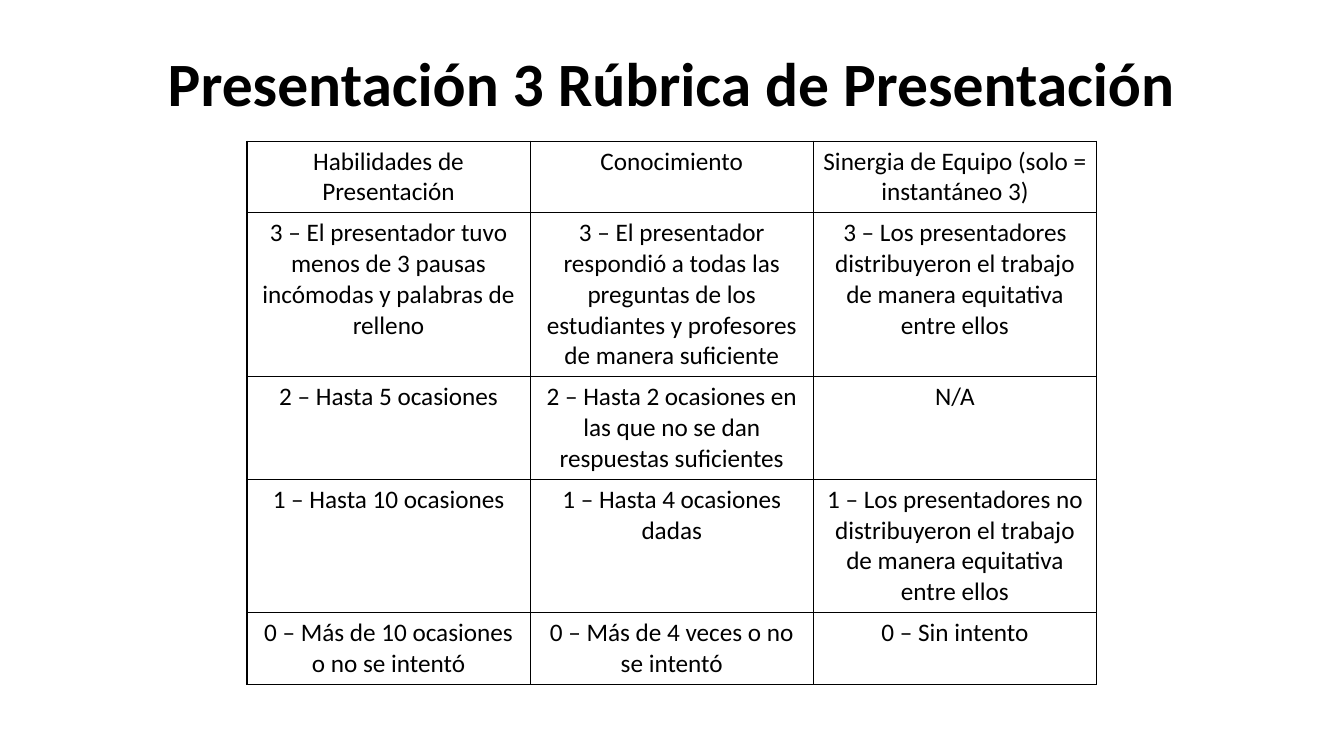
"""Build the presentation rubric slide."""
from lxml import etree
from pptx import Presentation
from pptx.dml.color import RGBColor
from pptx.enum.text import MSO_ANCHOR as Anchor, PP_ALIGN as Align
from pptx.oxml.ns import qn
from pptx.util import Pt

TITLE = "Presentación 3 Rúbrica de Presentación"
RUBRIC = [
    ("Habilidades de Presentación", "Conocimiento",
     "Sinergia de Equipo (solo = instantáneo 3)"),
    ("3 – El presentador tuvo menos de 3 pausas incómodas y palabras de relleno",
     "3 – El presentador respondió a todas las preguntas de los estudiantes y "
     "profesores de manera suficiente",
     "3 – Los presentadores distribuyeron el trabajo de manera equitativa entre ellos"),
    ("2 – Hasta 5 ocasiones",
     "2 – Hasta 2 ocasiones en las que no se dan respuestas suficientes", "N/A"),
    ("1 – Hasta 10 ocasiones", "1 – Hasta 4 ocasiones dadas",
     "1 – Los presentadores no distribuyeron el trabajo de manera equitativa entre ellos"),
    ("0 – Más de 10 ocasiones o no se intentó",
     "0 – Más de 4 veces o no se intentó", "0 – Sin intento"),
]
ROW_LINES = [2, 5, 3, 4, 2]
LINE_HEIGHT, CELL_PADDING = 22, 7.2
COLUMN_WIDTH = 202.3
FONT, INK = "Calibri", "000000"


def color(value):
    """Turn a hex string into a colour."""
    return RGBColor.from_string(value)


def format_paragraph(para, size, bold=False):
    """Centre a paragraph and format its runs."""
    para.alignment = Align.CENTER
    for span in para.runs:
        span.font.name = FONT
        span.font.size = Pt(size)
        span.font.bold = bold
        span.font.color.rgb = color(INK)


def add_borders(cell):
    """Draw a one-point line on each side of a cell."""
    properties = cell._tc.get_or_add_tcPr()
    for position, side in enumerate(("a:lnL", "a:lnR", "a:lnT", "a:lnB")):
        line = etree.Element(qn(side), w=str(Pt(1)))
        fill = etree.SubElement(line, qn("a:solidFill"))
        etree.SubElement(fill, qn("a:srgbClr"), val=INK)
        properties.insert(position, line)


def add_title(page):
    """Place and format the slide title."""
    box = page.shapes.title
    box.left, box.top, box.width, box.height = Pt(109.4), Pt(28.8), Pt(741), Pt(60.5)
    frame = box.text_frame
    frame.text = TITLE
    frame.word_wrap = False
    frame.vertical_anchor = Anchor.TOP
    format_paragraph(frame.paragraphs[0], 44, bold=True)


def add_rubric(page):
    """Add the rubric table."""
    heights = [lines * LINE_HEIGHT + CELL_PADDING for lines in ROW_LINES]
    columns = len(RUBRIC[0])
    table = page.shapes.add_table(
        len(RUBRIC), columns, Pt(176.4), Pt(100.8),
        Pt(columns * COLUMN_WIDTH), Pt(sum(heights))).table
    table.first_row = table.horz_banding = False
    for column in table.columns:
        column.width = Pt(COLUMN_WIDTH)
    for row, height, texts in zip(table.rows, heights, RUBRIC):
        row.height = Pt(height)
        for cell, text in zip(row.cells, texts):
            cell.text = text
            cell.fill.background()
            add_borders(cell)
            format_paragraph(cell.text_frame.paragraphs[0], 18)


def main():
    """Create and save the deck."""
    deck = Presentation()
    deck.slide_width, deck.slide_height = Pt(960), Pt(540)
    page = deck.slides.add_slide(deck.slide_layouts[5])
    add_title(page)
    add_rubric(page)
    deck.save("out.pptx")


if __name__ == "__main__":
    main()
